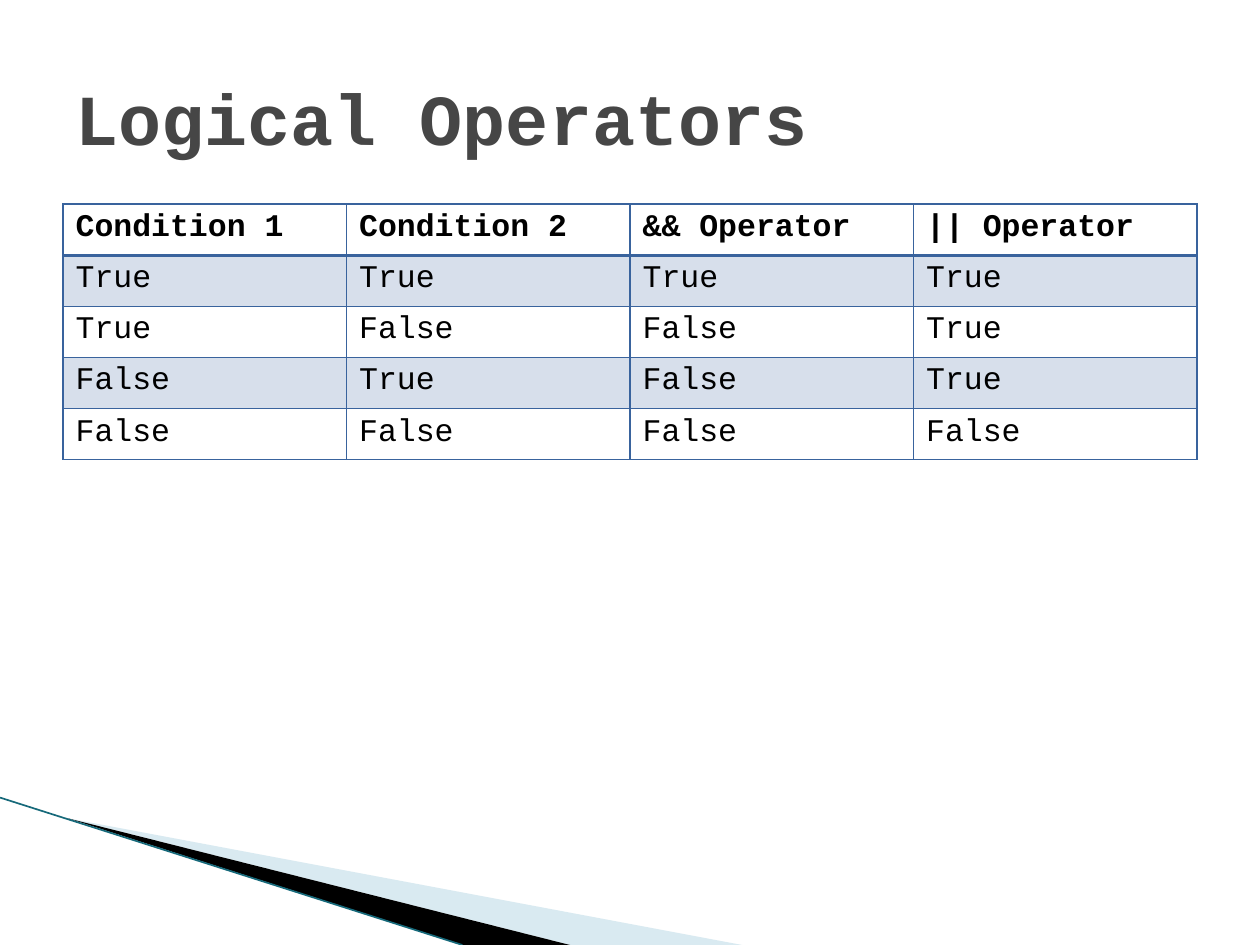
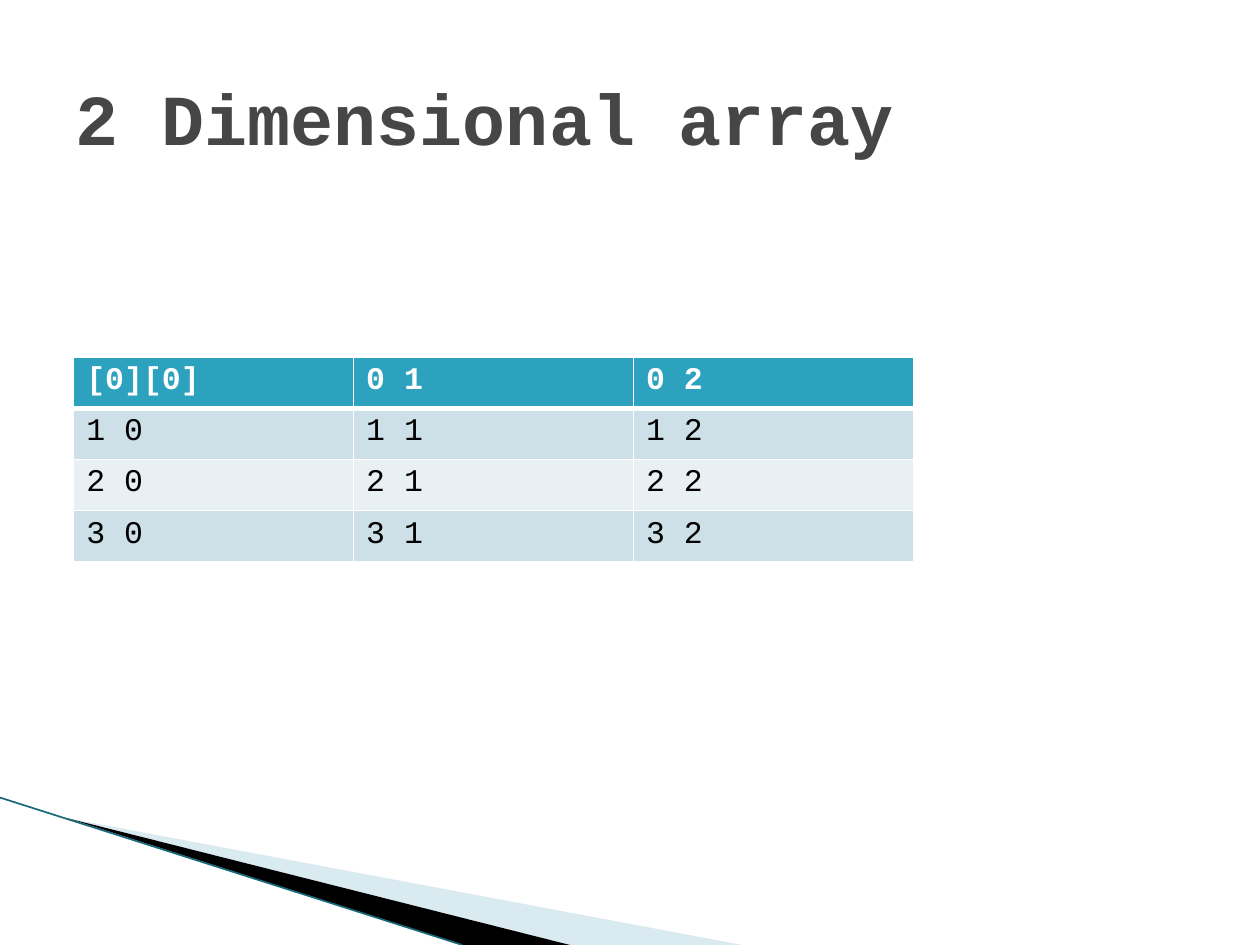
from dataclasses import dataclass

from lxml.etree import SubElement
from pptx import Presentation
from pptx.dml.color import RGBColor as Rgb
from pptx.enum.shapes import MSO_CONNECTOR as Connector
from pptx.enum.text import MSO_ANCHOR as Anchor, MSO_AUTO_SIZE as AutoSize, PP_ALIGN as Align
from pptx.oxml.ns import qn
from pptx.util import Inches, Pt


@dataclass(frozen=True)
class Theme:
    font: str = "Courier New"
    title_size: float = 41
    cell_size: float = 18
    row_height: float = 29.2
    seam_width: float = 0.95
    title: str = "464646"
    ink: str = "000000"
    paper: str = "FFFFFF"
    navy: str = "39639D"
    teal: str = "2DA2BF"
    teal_light: str = "CDE0E8"
    teal_pale: str = "E8F0F4"
    wedge: str = "A0CBDC"
    seam: str = "16697A"


@dataclass(frozen=True)
class TableLook:
    header_fill: str | None
    header_ink: str
    bands: tuple
    border: str
    rule: float
    alpha: int = 100


THEME = Theme()
RULED = TableLook(None, THEME.ink, (THEME.navy, None), THEME.navy, 2, alpha=20)
FILLED = TableLook(THEME.teal, THEME.paper, (THEME.teal_light, THEME.teal_pale), THEME.paper, 3)


class Deck:
    COLUMNS, ROWS = 20, 15

    def __init__(self, theme):
        self.theme = theme
        self.prs = Presentation()
        self.prs.slide_width, self.prs.slide_height = Inches(10), Inches(7.5)
        self.layout = self.prs.slide_layouts[5]
        self.slide = None
        self.apply(self.layout.placeholders[0], self.frame(1, 0.6, 18, 2.5))

    def x(self, columns):
        return round(self.prs.slide_width * columns / self.COLUMNS)

    def y(self, rows):
        return round(self.prs.slide_height * rows / self.ROWS)

    def frame(self, column, row, width, height):
        return {"left": self.x(column), "top": self.y(row), "width": self.x(width), "height": self.y(height)}

    @staticmethod
    def apply(target, values):
        for name, value in values.items():
            setattr(target, name, value)

    def style(self, paragraph, size, color, bold):
        paragraph.alignment = Align.LEFT
        font = paragraph.runs[0].font
        self.apply(font, {"name": self.theme.font, "size": Pt(size), "bold": bold})
        font.color.rgb = Rgb.from_string(color)

    @staticmethod
    def paint(fill, owner, color, alpha=100):
        if color is None:
            fill.background()
            return
        fill.solid()
        fill.fore_color.rgb = Rgb.from_string(color)
        if alpha < 100:
            tone = owner.find(".//" + qn("a:srgbClr"))
            SubElement(tone, qn("a:alpha"), val=str(alpha * 1000))

    def new_slide(self, heading):
        self.slide = self.prs.slides.add_slide(self.layout)
        title = self.slide.shapes.title
        title.text = heading
        frame = {"vertical_anchor": Anchor.MIDDLE, "word_wrap": True, "auto_size": AutoSize.NONE}
        self.apply(title.text_frame, frame)
        self.style(title.text_frame.paragraphs[0], self.theme.title_size, self.theme.title, True)

    def wedge(self, corners, frame, color, alpha=100):
        start, *others = [(self.x(column), self.y(row)) for column, row in corners]
        outline = self.slide.shapes.build_freeform(*start)
        outline.add_line_segments(others, close=True)
        wedge = outline.convert_to_shape()
        self.reframe(wedge, self.frame(*frame))
        wedge.shadow.inherit = False
        wedge.line.fill.background()
        self.paint(wedge.fill, wedge._element.spPr, color, alpha)
        return wedge

    def reframe(self, wedge, frame):
        shifts = {"x": wedge.left - frame["left"], "y": wedge.top - frame["top"]}
        for corner in wedge._element.iter(qn("a:pt")):
            for axis, shift in shifts.items():
                corner.set(axis, str(int(corner.get(axis)) + shift))
        contour = wedge._element.find(".//" + qn("a:path"))
        contour.set("w", str(frame["width"]))
        contour.set("h", str(frame["height"]))
        self.apply(wedge, frame)

    def seam(self, start, end):
        (x1, y1), (x2, y2) = start, end
        seam = self.slide.shapes.add_connector(
            Connector.STRAIGHT, self.x(x1), self.y(y1), self.x(x2), self.y(y2))
        seam.line.color.rgb = Rgb.from_string(self.theme.seam)
        seam.line.width = Pt(self.theme.seam_width)
        SubElement(seam._element.spPr, qn("a:effectLst"))
        return seam

    def corner_on_layout(self):
        tip = (1.08, 12.99)
        parts = [
            self.wedge([tip, (11.78, 15), (9.05, 15)], (1.56, 10.94, 8.32, 3.16), self.theme.wedge, 40),
            self.wedge([tip, (9.05, 15), (7.35, 15)], (-0.12, 12.66, 8.32, 1.84), self.theme.ink),
            self.seam((0, 12.66), (7.34, 15)),
        ]
        for order, part in enumerate(parts):
            part._element.find(".//" + qn("p:cNvPr")).set("id", str(100 + order))
            self.layout.shapes._spTree.insert(2 + order, part._element)

    def borders(self, cell, color, widths):
        properties = cell._tc.get_or_add_tcPr()
        for order, (side, width) in enumerate(widths.items()):
            edge = SubElement(properties, qn("a:ln" + side), w=str(Pt(width)))
            ink = SubElement(edge, qn("a:solidFill"))
            SubElement(ink, qn("a:srgbClr"), val=color)
            properties.insert(order, edge)

    def table(self, column, row, width, records, look):
        table = self.slide.shapes.add_table(
            len(records), len(records[0]), self.x(column), self.y(row),
            self.x(width), Pt(self.theme.row_height) * len(records)).table
        self.apply(table, {"first_row": False, "horz_banding": False})
        for i, record in enumerate(records):
            header = i == 0
            fill = look.header_fill if header else look.bands[(i - 1) % len(look.bands)]
            color = look.header_ink if header else self.theme.ink
            widths = {"L": 1, "R": 1, "T": look.rule if i == 1 else 1, "B": look.rule if header else 1}
            for j, value in enumerate(record):
                cell = table.cell(i, j)
                cell.text = value
                self.style(cell.text_frame.paragraphs[0], self.theme.cell_size, color, header)
                self.paint(cell.fill, cell._tc.get_or_add_tcPr(), fill, look.alpha)
                self.borders(cell, look.border, widths)


def main():
    deck = Deck(THEME)

    deck.new_slide("Logical Operators")
    deck.corner_on_layout()
    truth = [("Condition 1", "Condition 2", "&& Operator", "|| Operator")]
    for first in (True, False):
        for second in (True, False):
            truth.append([str(value) for value in (first, second, first and second, first or second)])
    deck.table(1, 3.24, 18, truth, RULED)

    deck.new_slide("2 Dimensional array")
    indexes = [[f"{i} {j}" for j in range(3)] for i in range(4)]
    indexes[0][0] = "[0][0]"
    deck.table(1.17, 5.67, 13.33, indexes, FILLED)

    deck.prs.save("out.pptx")


if __name__ == "__main__":
    main()
